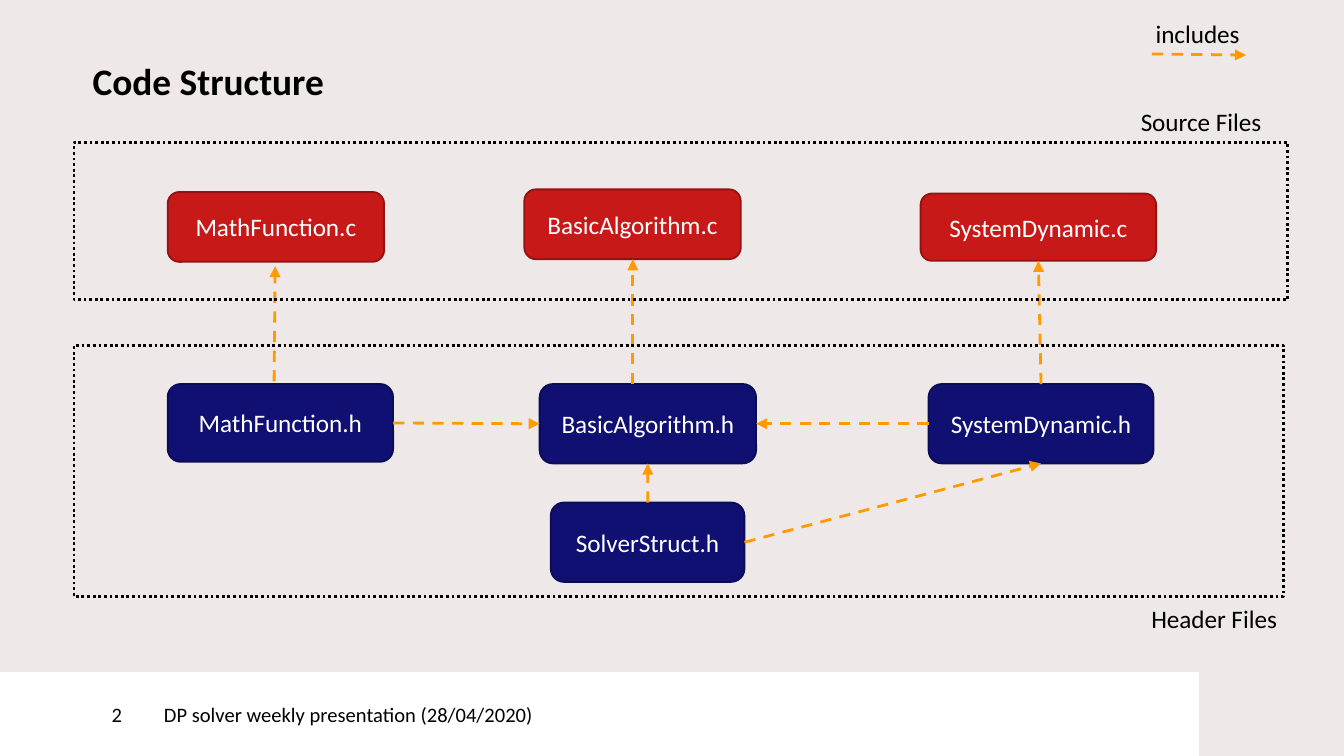
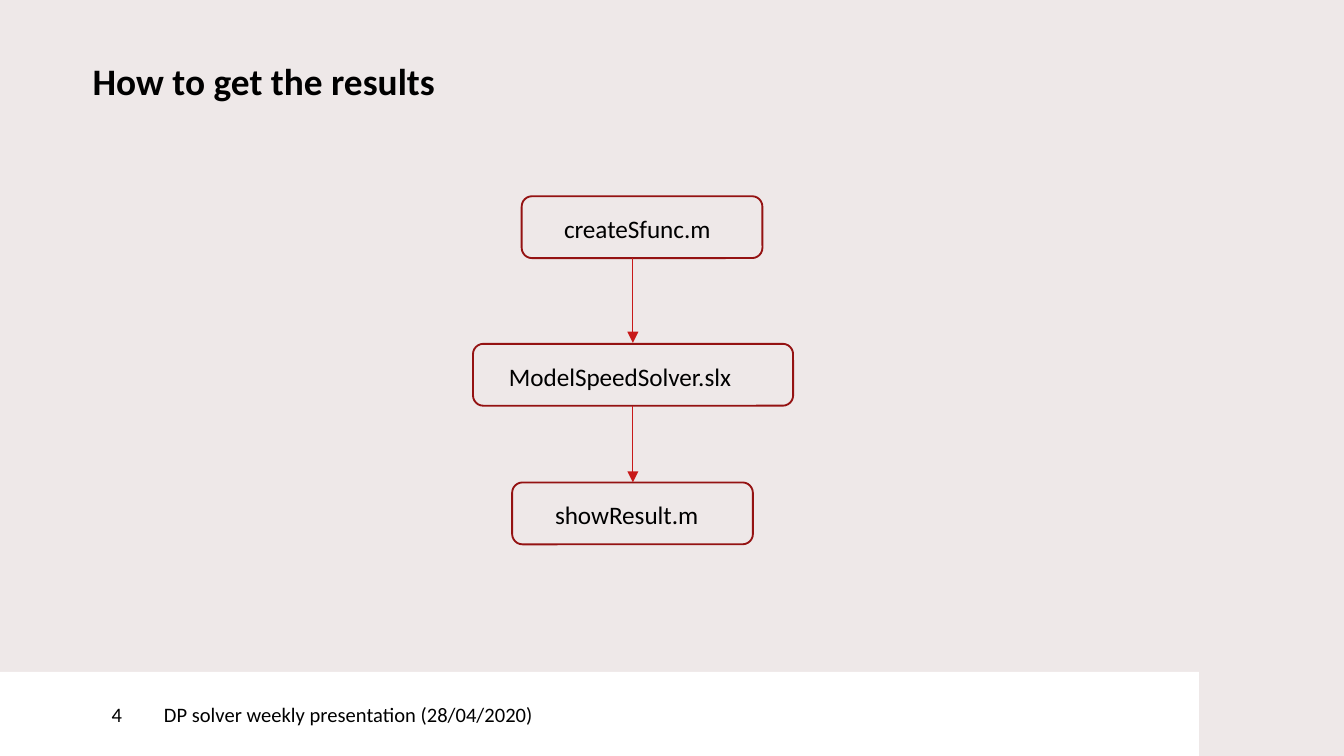
from pptx import Presentation
from pptx.dml.color import RGBColor
from pptx.enum.dml import MSO_LINE
from pptx.enum.shapes import MSO_CONNECTOR, MSO_SHAPE
from pptx.enum.text import MSO_ANCHOR, MSO_AUTO_SIZE, PP_ALIGN
from pptx.oxml.ns import qn
from pptx.util import Cm, Pt
from lxml.etree import SubElement

HEX = {
    "back": "EEE8E8", "white": "FFFFFF", "black": "000000",
    "red": "C81919", "wine": "941212",
    "navy": "101073", "night": "0C0C55", "orange": "FF9A00",
}

# Font formats
FONTS = {
    "title": {"name": "Calibri", "size": Pt(20), "bold": True},
    "foot": {"name": "Calibri", "size": Pt(11)},
    "body": {"name": "Calibri", "size": Pt(13.5)},
}

# Line formats: colour, then attributes
LINES = {
    "wine": ("wine", {"width": Pt(1)}),
    "night": ("night", {"width": Pt(1)}),
    "dots": ("black", {"width": Pt(1.5), "dash_style": MSO_LINE.ROUND_DOT}),
    "dash": ("orange", {"width": Pt(1.5), "dash_style": MSO_LINE.DASH}),
    "thin": ("red", {"width": Pt(0.5)}),
}

NO_PAD = dict.fromkeys(
    ("margin_left", "margin_top", "margin_right", "margin_bottom"), 0)
TOP, LEFT, BASE, RIGHT = range(4)  # connection sites of a box


def tint(key):
    return RGBColor.from_string(HEX[key])


def assign(item, values):
    for name, value in values.items():
        setattr(item, name, value)


class Deck:
    def __init__(self):
        self.prs = Presentation()
        self.prs.slide_width, self.prs.slide_height = Cm(25.4), Cm(14.29)
        self.slide = None

    def page(self, title, number):
        """Start a slide with its title and footer."""
        self.slide = self.prs.slides.add_slide(self.prs.slide_layouts[6])
        fill = self.slide.background.fill
        fill.solid()
        fill.fore_color.rgb = tint("back")
        head = self.slide.shapes.add_textbox(
            Cm(1.75), Cm(1), Cm(20.98), Cm(1.5))
        para = self.label_in(head, title, "title", word_wrap=True, **NO_PAD)
        para.line_spacing = Pt(27)
        parts = (
            (3.1, 19.56, 0, "DP solver weekly presentation (28/04/2020)"),
            (0, 3.1, 2.11, number),
        )
        for x, wide, pad, text in parts:
            band = self.box((x, 12.7, wide, 1.59), "white",
                            kind=MSO_SHAPE.RECTANGLE)
            frame = {**NO_PAD, "margin_left": Cm(pad)}
            self.label_in(band, text, "foot",
                          vertical_anchor=MSO_ANCHOR.MIDDLE, **frame)

    def label_in(self, shape, text, font, color="black",
                 align=PP_ALIGN.LEFT, **frame):
        """Put formatted text into a shape."""
        assign(shape.text_frame, frame)
        para = shape.text_frame.paragraphs[0]
        para.alignment = align
        run = para.add_run()
        run.text = text
        assign(run.font, FONTS[font])
        run.font.color.rgb = tint(color)
        return para

    def stroke(self, line, style):
        color, values = LINES[style]
        line.color.rgb = tint(color)
        assign(line, values)

    def box(self, area, fill=None, line=None,
            kind=MSO_SHAPE.ROUNDED_RECTANGLE):
        shape = self.slide.shapes.add_shape(kind, *map(Cm, area))
        shape.shadow.inherit = False
        if fill:
            shape.fill.solid()
            shape.fill.fore_color.rgb = tint(fill)
        else:
            shape.fill.background()
        if line:
            self.stroke(shape.line, line)
        else:
            shape.line.fill.background()
        return shape

    def file(self, text, area, fill, line):
        """Filled box that carries a file name."""
        shape = self.box(area, fill, line)
        self.label_in(shape, text, "body", "white", PP_ALIGN.CENTER,
                      vertical_anchor=MSO_ANCHOR.MIDDLE)
        return shape

    def label(self, text, x, y, wide):
        shape = self.slide.shapes.add_textbox(
            Cm(x), Cm(y), Cm(wide), Cm(0.84))
        self.label_in(shape, text, "body", word_wrap=False,
                      auto_size=MSO_AUTO_SIZE.SHAPE_TO_FIT_TEXT)

    def arrow(self, start, end, style="dash"):
        wire = self.slide.shapes.add_connector(
            MSO_CONNECTOR.STRAIGHT, *map(Cm, start + end))
        self.stroke(wire.line, style)
        props = wire.element.spPr
        SubElement(props.find(qn("a:ln")), qn("a:tailEnd"), type="triangle")
        SubElement(props, qn("a:effectLst"))
        return wire

    def link(self, start, out, end, into):
        """Arrow glued to two boxes."""
        wire = self.arrow((0, 0), (1, 1))
        wire.begin_connect(start, out)
        wire.end_connect(end, into)


deck = Deck()

# Slide: code structure
deck.page("Code Structure", "2")
files = {}
sources = {
    "BasicAlgorithm.c": (9.91, 3.58, 4.09, 1.32),
    "MathFunction.c": (3.17, 3.63, 4.09, 1.32),
    "SystemDynamic.c": (17.4, 3.66, 4.45, 1.27),
}
headers = {
    "BasicAlgorithm.h": (10.2, 7.26, 4.09, 1.5),
    "MathFunction.h": (3.17, 7.26, 4.26, 1.47),
    "SystemDynamic.h": (17.55, 7.26, 4.25, 1.5),
    "SolverStruct.h": (10.41, 9.5, 3.66, 1.5),
}
for group, fill, line in ((sources, "red", "wine"),
                          (headers, "navy", "night")):
    for name, area in group.items():
        files[name] = deck.file(name, area, fill, line)

# Includes between files
for start, out, end, into in (
    ("SolverStruct.h", TOP, "BasicAlgorithm.h", BASE),
    ("SolverStruct.h", RIGHT, "SystemDynamic.h", BASE),
    ("MathFunction.h", RIGHT, "BasicAlgorithm.h", LEFT),
    ("SystemDynamic.h", LEFT, "BasicAlgorithm.h", RIGHT),
    ("SystemDynamic.h", TOP, "SystemDynamic.c", BASE),
):
    deck.link(files[start], out, files[end], into)
deck.arrow((5.18, 7.21), (5.2, 5.03))
deck.arrow((11.96, 7.26), (11.96, 4.9))

# Group frames and their labels
for area in ((1.4, 6.53, 22.86, 4.75), (1.4, 2.69, 22.94, 2.97)):
    deck.box(area, line="dots", kind=MSO_SHAPE.RECTANGLE)
deck.label("Source Files", 21.31, 1.88, 2.82)
deck.label("Header Files", 21.51, 11.28, 2.92)

# Legend
deck.arrow((21.77, 1.02), (23.55, 1.04))
deck.label("includes", 21.59, 0.23, 2.13)

# Slide: steps to the results
deck.page("How to get the results", "4")
for text, x, y, wide, inset, span in (
    ("createSfunc.m", 9.86, 3.71, 4.55, 0.55, 3.33),
    ("ModelSpeedSolver.slx", 8.94, 6.5, 6.05, 0.43, 4.78),
    ("showResult.m", 9.68, 9.12, 4.55, 0.56, 3.25),
):
    deck.box((x, y, wide, 1.17), line="wine")
    deck.label(text, x + inset, y + 0.2, span)
for top, end in ((4.88, 6.48), (7.67, 9.12)):
    deck.arrow((11.96, top), (11.96, end), "thin")

deck.prs.save("out.pptx")
